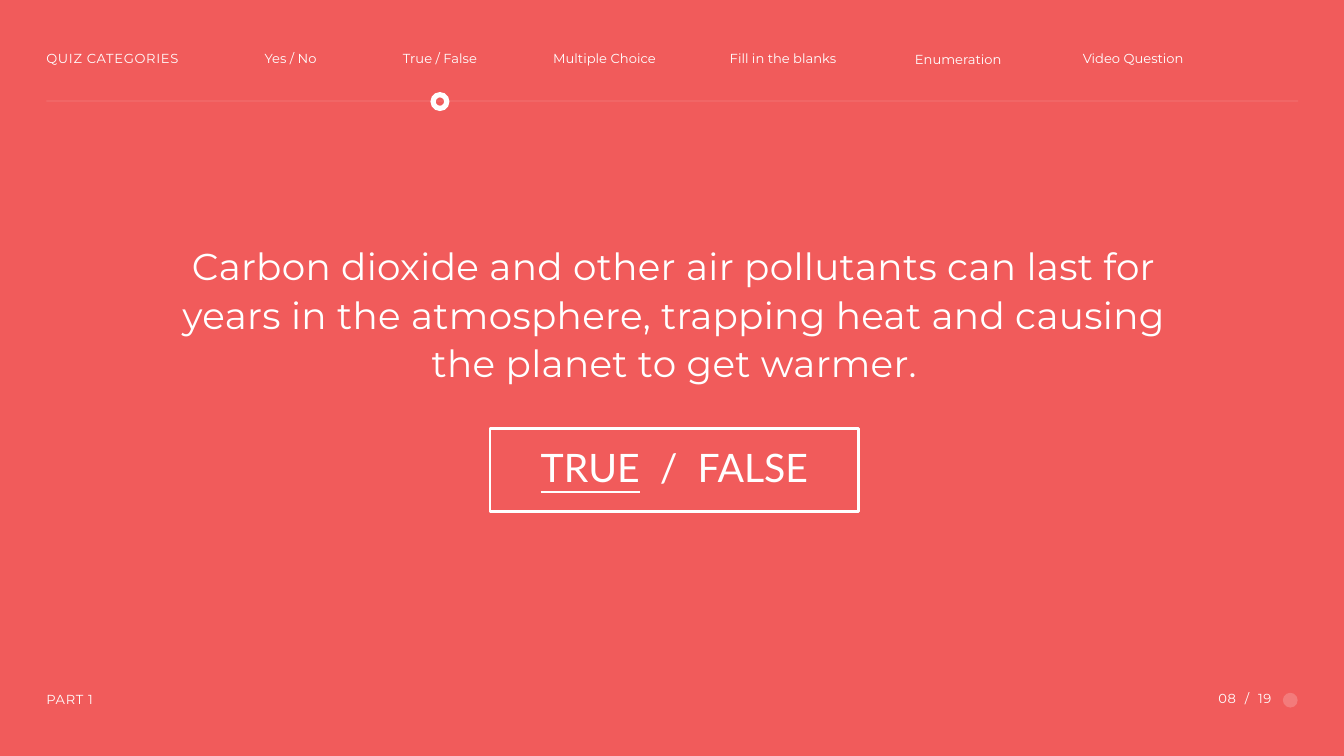
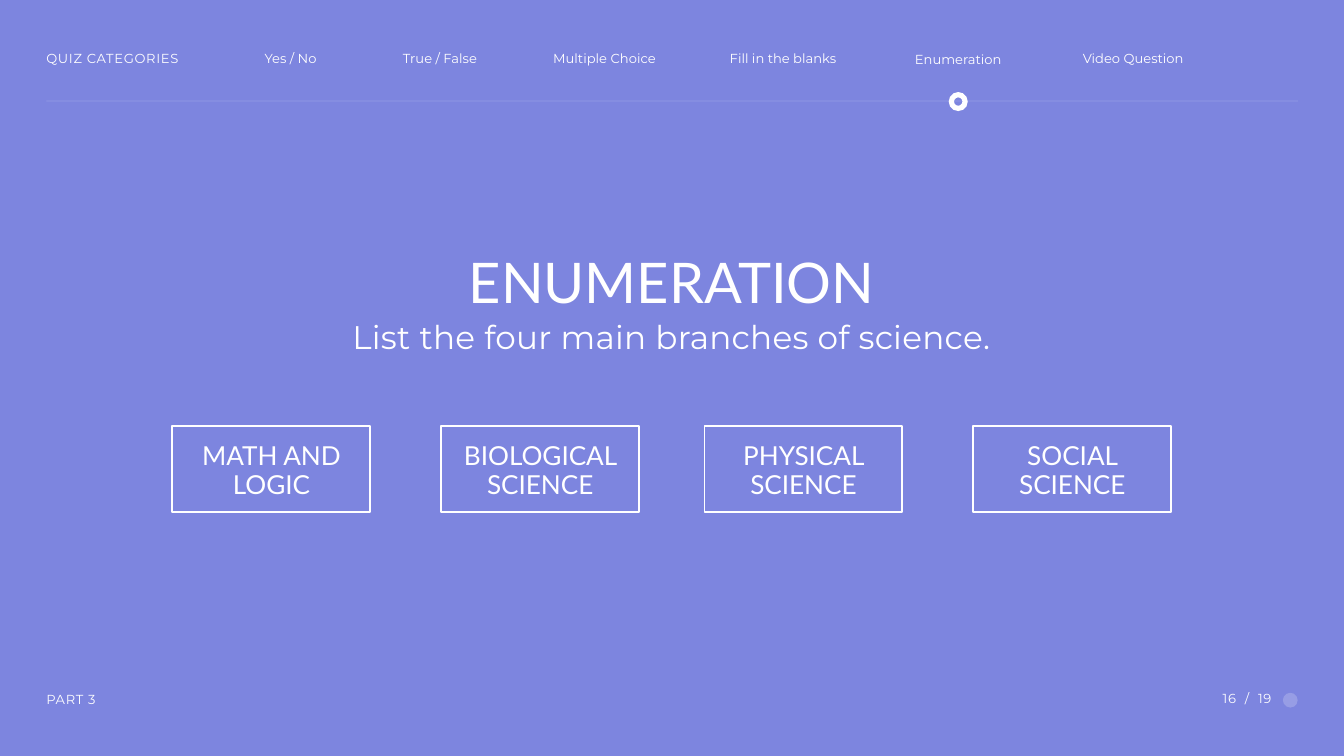
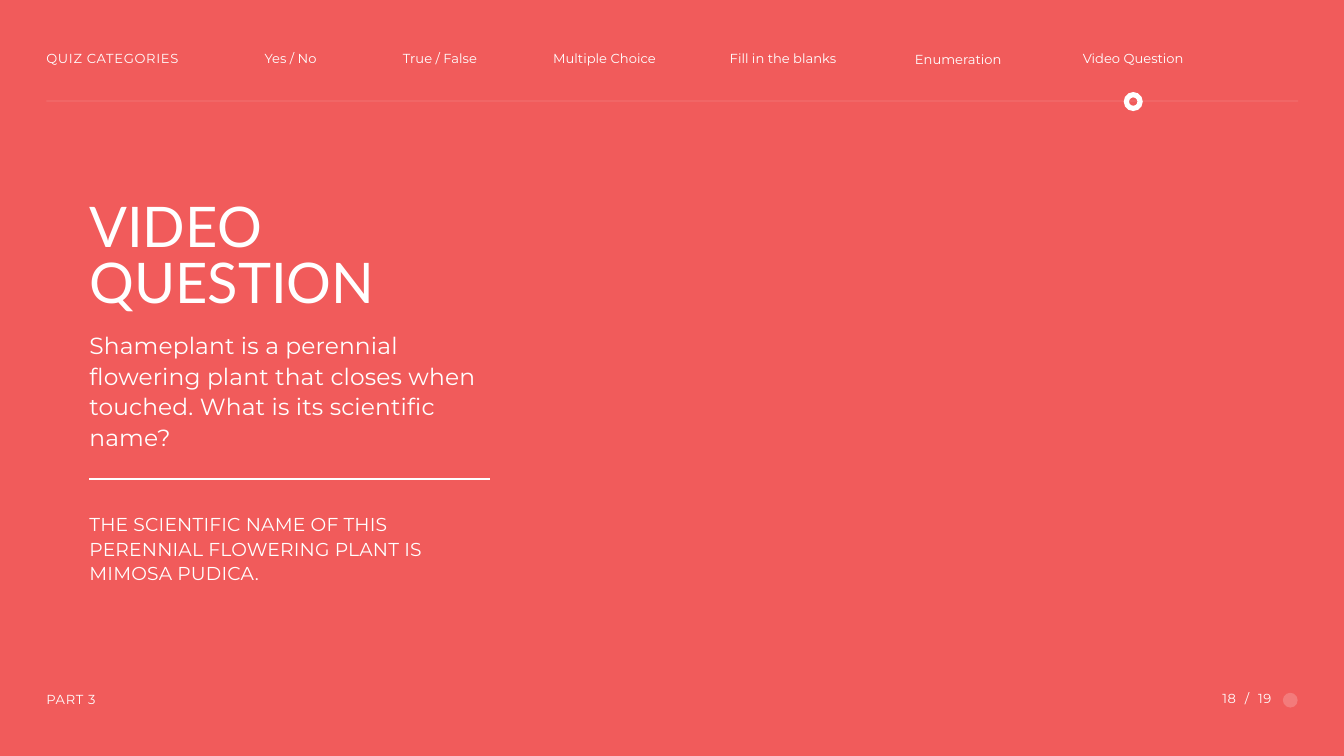
import pptx
import pptx.dml.color
import pptx.enum.shapes
import pptx.enum.text
import pptx.oxml.ns
import pptx.util
from lxml import etree

Cm = pptx.util.Cm
Pt = pptx.util.Pt
RGB = pptx.dml.color.RGBColor
Kind = pptx.enum.shapes.MSO_SHAPE
Line = pptx.enum.shapes.MSO_CONNECTOR
Align = pptx.enum.text.PP_ALIGN
qn = pptx.oxml.ns.qn

hues = {"coral": "F15B5B", "iris": "7D85DF", "white": "FFFFFF"}

looks = {
    "small": {"font": "Montserrat", "size": 14, "lead": 14, "track": 70},
    "tab": {"font": "Montserrat", "size": 14, "lead": 14, "track": 0},
    "claim": {"font": "Montserrat", "size": 40, "lead": 52, "track": 40},
    "task": {"font": "Montserrat", "size": 35, "lead": 45.5, "track": 30},
    "body": {"font": "Montserrat", "size": 25, "lead": 32.5, "track": 20},
    "reply": {"font": "Montserrat", "size": 20, "lead": 26, "track": 20},
    "title": {"font": "Lato", "size": 60, "lead": 84, "track": 0},
    "stack": {"font": "Lato", "size": 60, "lead": 60, "track": 0},
    "choice": {"font": "Lato", "size": 42, "lead": 42, "track": 0},
    "branch": {"font": "Lato", "size": 28, "lead": 30.8, "track": 0},
}


def paint(fill, alpha=100):
    fill.solid()
    fill.fore_color.rgb = RGB.from_string(hues["white"])
    if alpha < 100:
        tone = fill._xPr.find(".//" + qn("a:srgbClr"))
        etree.SubElement(tone, qn("a:alpha")).set("val", str(alpha * 1000))


def write(shape, look, words, align=Align.LEFT, inset=0, under=""):
    style = looks[look]
    frame = shape.text_frame
    setup = {"word_wrap": True, "margin_left": 0, "margin_right": 0,
             "margin_top": Cm(inset), "margin_bottom": 0,
             "vertical_anchor": pptx.enum.text.MSO_ANCHOR.TOP}
    for key, value in setup.items():
        setattr(frame, key, value)
    para = frame.paragraphs[0]
    para.alignment = align
    para.line_spacing = Pt(style["lead"])
    for part in filter(None, (under, words)):
        run = para.add_run()
        run.text = part
        form = {"name": style["font"], "size": Pt(style["size"]),
                "underline": part == under}
        for key, value in form.items():
            setattr(run.font, key, value)
        run.font.color.rgb = RGB.from_string(hues["white"])
        if style["track"]:
            run._r.get_or_add_rPr().set("spc", str(style["track"]))


tabs = [
    ("Yes / No", 9.55, 2.01, 2.87),
    ("True / False", 14.99, 2.01, 3.28),
    ("Multiple Choice", 20.83, 2.01, 4.04),
    ("Fill in the blanks", 27.43, 2.01, 4.34),
    ("Enumeration", 34.34, 2.03, 3.76),
    ("Video Question", 40.69, 2.01, 4.29),
]

pages = [
    {"hue": "coral", "tab": "True / False", "part": "PART 1", "count": "08  /  19",
     "texts": [
         ("claim", "Carbon dioxide and other air pollutants can last for years in the "
          "atmosphere, trapping heat and causing the planet to get warmer.",
          (6.32, 9.07, 38.35, 5.44), Align.CENTER)],
     "frames": [("choice", "TRUE", "  /  FALSE", (18.52, 16.21, 13.94, 3.12), 0.84, 3)],
     "lines": []},
    {"hue": "iris", "tab": "Enumeration", "part": "PART 3", "count": "16  /  19",
     "texts": [
         ("title", "ENUMERATION", (8.26, 8.94, 34.26, 2.77), Align.CENTER),
         ("task", "List the four main branches of science.",
          (8.26, 11.86, 34.26, 1.55), Align.CENTER)],
     "frames": [
         ("branch", "", name, (left, 16.09, 7.48, 3.28), 0.62, 2.1)
         for name, left in [("MATH AND LOGIC", 6.52), ("BIOLOGICAL SCIENCE", 16.68),
                            ("PHYSICAL SCIENCE", 26.63), ("SOCIAL SCIENCE", 36.79)]],
     "lines": []},
    {"hue": "coral", "tab": "Video Question", "part": "PART 3", "count": "18  /  19",
     "texts": [
         ("stack", "VIDEO QUESTION", (3.38, 7.65, 12.98, 4.34), Align.LEFT),
         ("body", "Shameplant is a perennial flowering plant that closes when touched. "
          "What is its scientific name?", (3.38, 12.45, 15.14, 4.52), Align.LEFT),
         ("reply", "THE SCIENTIFIC NAME OF THIS PERENNIAL FLOWERING PLANT IS "
          "MIMOSA PUDICA.", (3.38, 19.33, 15.14, 2.72), Align.LEFT)],
     "frames": [],
     "lines": [(3.38, 18.52, 18.11, 2.8, 100)]},
]

deck = pptx.Presentation()
deck.slide_width = Cm(50.8)
deck.slide_height = Cm(28.58)
ring = 0.72
rule = 3.84

for page in pages:
    slide = deck.slides.add_slide(deck.slide_layouts[6])
    shapes = slide.shapes
    back = slide.background.fill
    back.solid()
    back.fore_color.rgb = RGB.from_string(hues[page["hue"]])

    for left, right, level, weight, alpha in [(1.75, 49.07, rule - 0.02, 0.75, 20)] + page["lines"]:
        line = shapes.add_connector(Line.STRAIGHT, Cm(left), Cm(level), Cm(right), Cm(level))
        line.line.width = Pt(weight)
        paint(line.line.fill, alpha)
        etree.SubElement(line._element.spPr, qn("a:effectLst"))

    texts = [
        ("small", "QUIZ CATEGORIES", (1.75, 2.01, 5.31, 0.53), Align.LEFT),
        ("small", page["part"], (1.75, 26.24, 5.31, 0.53), Align.LEFT),
        ("small", page["count"], (41.63, 26.21, 6.43, 0.53), Align.RIGHT),
    ]
    texts += [("tab", name, (left, top, width, 0.51), Align.CENTER)
              for name, left, top, width in tabs]
    for look, words, box, align in texts + page["texts"]:
        write(shapes.add_textbox(*map(Cm, box)), look, words, align)

    for look, under, words, box, inset, weight in page["frames"]:
        frame = shapes.add_shape(Kind.RECTANGLE, *map(Cm, box))
        frame.shadow.inherit = False
        frame.fill.background()
        frame.line.width = Pt(weight)
        paint(frame.line.fill)
        write(frame, look, words, Align.CENTER, inset, under)

    mid = next(left + width / 2 for name, left, top, width in tabs if name == page["tab"])
    mark = shapes.add_shape(Kind.DONUT, Cm(mid - ring / 2), Cm(rule - ring / 2), Cm(ring), Cm(ring))
    mark.adjustments[0] = 0.28
    dot = shapes.add_shape(Kind.OVAL, Cm(48.49), Cm(26.19), Cm(0.56), Cm(0.56))
    for shape, alpha in [(mark, 100), (dot, 20)]:
        shape.shadow.inherit = False
        shape.line.fill.background()
        paint(shape.fill, alpha)

deck.save("out.pptx")
